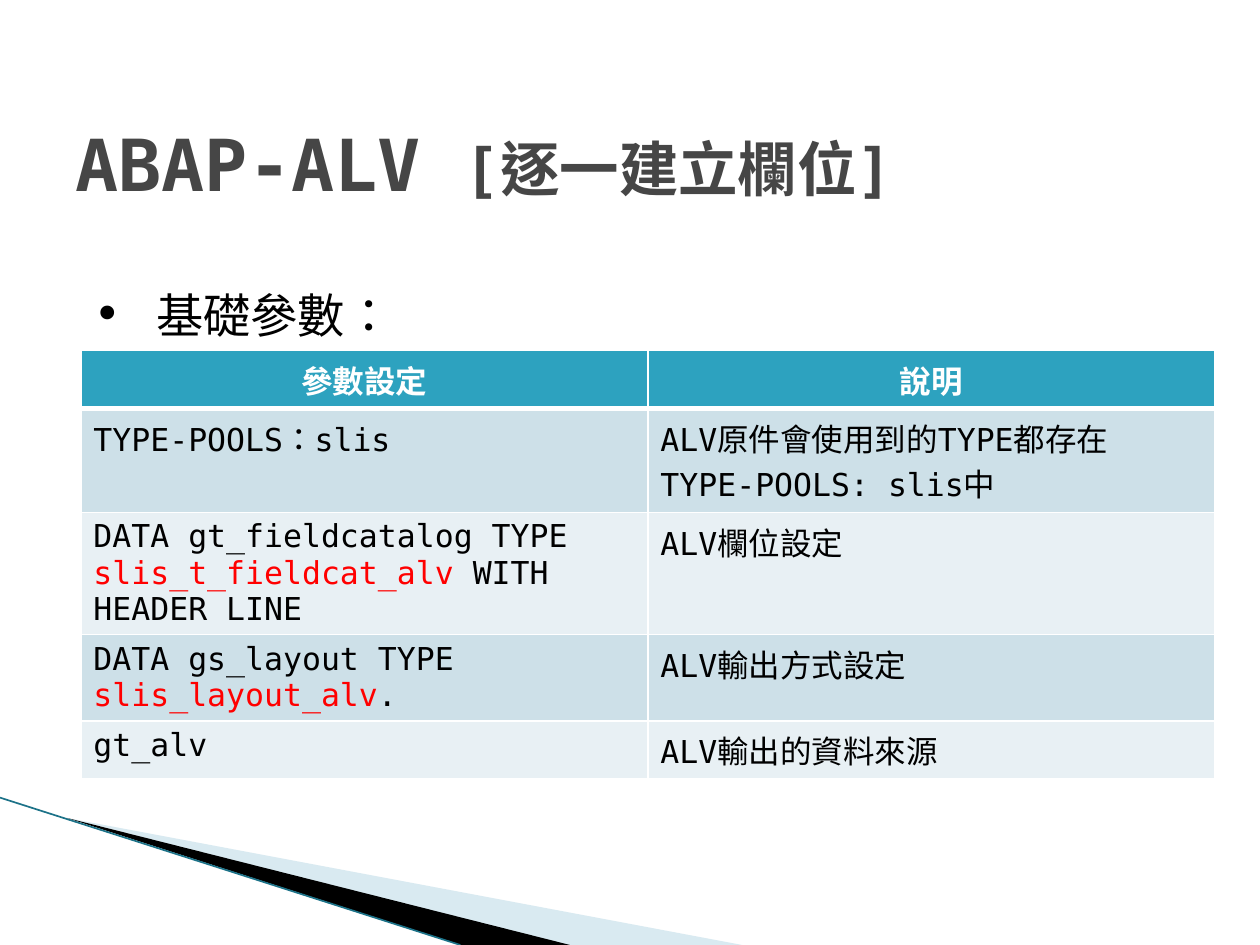
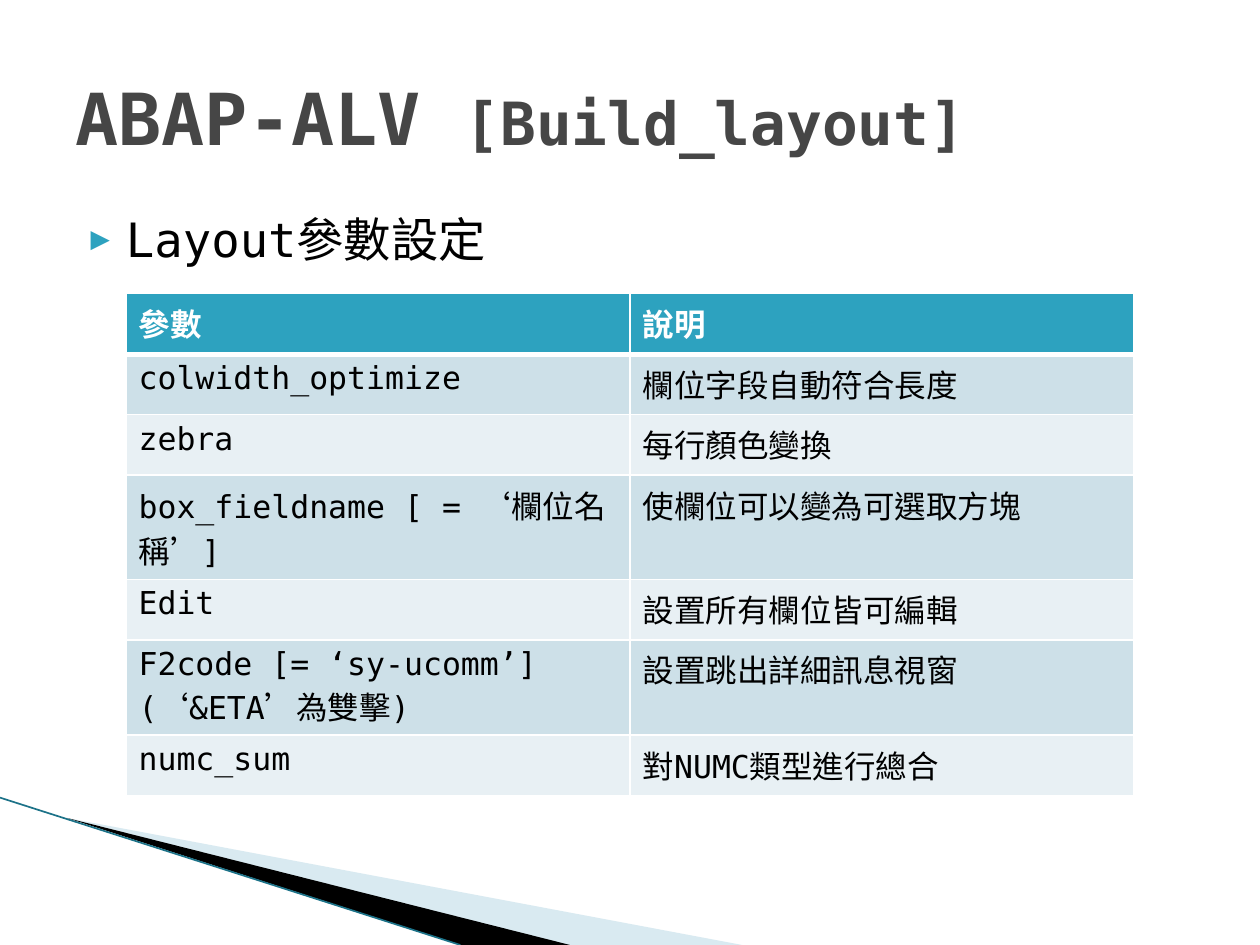
import pptx
import pptx.util
import pptx.dml.color
import pptx.enum.shapes
import pptx.enum.text
import pptx.oxml.ns
from lxml import etree

Cm = pptx.util.Cm
Pt = pptx.util.Pt
RGBColor = pptx.dml.color.RGBColor
qn = pptx.oxml.ns.qn

FONT = "DejaVu Sans Mono"
LANGUAGE = "zh-TW"
WHITE = RGBColor(0xFF, 0xFF, 0xFF)
BLACK = RGBColor(0x00, 0x00, 0x00)
RED = RGBColor(0xFF, 0x00, 0x00)
TITLE_GREY = RGBColor(0x46, 0x46, 0x46)
TEAL = RGBColor(0x2D, 0xA2, 0xBF)
DARK_TEAL = RGBColor(0x1C, 0x72, 0x88)
PALE_BLUE = RGBColor(0xA0, 0xCB, 0xDC)
BANDS = (RGBColor(0xCD, 0xE0, 0xE8), RGBColor(0xE8, 0xF0, 0xF4))


class Deck:
    """Holds the presentation, its style and the current page."""

    def __init__(self):
        """Start an empty deck of 4:3 pages."""
        self.deck = pptx.Presentation()
        self.deck.slide_width, self.deck.slide_height = Cm(25.4), Cm(19.05)
        self.page = None

    def add_page(self):
        """Open a blank page with the swoosh in its lower left corner."""
        self.page = self.deck.slides.add_slide(self.deck.slide_layouts[6])
        self.wedge([(1.4, 16.5), (14.96, 19.05), (11.4, 19.05)], PALE_BLUE, 40)
        self.wedge([(1.35, 16.49), (11.49, 19.05), (9.29, 19.05)], BLACK)
        self.line((0, 16.08), (9.28, 19.05), DARK_TEAL, 0.95)

    def wedge(self, points, color, opacity=100):
        """Draw a filled outline through points given in centimetres."""
        corners = [(Cm(x), Cm(y)) for x, y in points]
        builder = self.page.shapes.build_freeform(*corners[0])
        builder.add_line_segments(corners[1:], close=True)
        shape = builder.convert_to_shape()
        shape.shadow.inherit = False
        shape.fill.solid()
        shape.fill.fore_color.rgb = color
        shape.line.fill.background()
        if opacity < 100:
            fill = shape._element.spPr.find(qn("a:solidFill"))
            etree.SubElement(fill[0], qn("a:alpha"), val=str(opacity * 1000))

    def line(self, start, end, color, width):
        """Draw a straight line without a shadow."""
        line = self.page.shapes.add_connector(
            pptx.enum.shapes.MSO_CONNECTOR.STRAIGHT,
            *(Cm(value) for value in start + end))
        line.line.color.rgb = color
        line.line.width = Pt(width)
        etree.SubElement(line._element.spPr, qn("a:effectLst"))

    def text_frame(self, left, top, width, height):
        """Add a wrapping text box and return its frame."""
        box = self.page.shapes.add_textbox(
            Cm(left), Cm(top), Cm(width), Cm(height))
        box.text_frame.word_wrap = True
        return box.text_frame

    def style(self, para, size, color, bold=False):
        """Set the font and language of a whole paragraph."""
        para.font.name = FONT
        para.font.size = Pt(size)
        para.font.bold = bold
        para.font.color.rgb = color
        para._p.pPr.find(qn("a:defRPr")).set("lang", LANGUAGE)

    def title(self, top, topic):
        """Write the page title with its smaller topic."""
        frame = self.text_frame(1.27, top, 22.86, 3.18)
        frame.vertical_anchor = pptx.enum.text.MSO_ANCHOR.MIDDLE
        para = frame.paragraphs[0]
        self.style(para, 41, TITLE_GREY, bold=True)
        para.add_run().text = "ABAP-ALV "
        span = para.add_run()
        span.text = topic
        span.font.size = Pt(34)

    def bullet(self, place, text, mark, indent, hanging,
               mark_color=BLACK, mark_size=100, space_before=0):
        """Write one bulleted line; indents are in centimetres."""
        para = self.text_frame(*place).paragraphs[0]
        para.text = text
        self.style(para, 27, BLACK)
        para.space_before = Pt(space_before)
        props = para._p.get_or_add_pPr()
        props.set("marL", str(Cm(indent)))
        props.set("indent", str(-Cm(hanging)))
        color = etree.Element(qn("a:buClr"))
        etree.SubElement(color, qn("a:srgbClr"), val=str(mark_color))
        size = etree.Element(qn("a:buSzPct"), val=str(mark_size * 1000))
        font = etree.Element(qn("a:buFont"), typeface=FONT)
        char = etree.Element(qn("a:buChar"), char=mark)
        font_props = props.find(qn("a:defRPr"))
        for element in (color, size, font, char):
            font_props.addprevious(element)

    def borders(self, cell, bottom):
        """Give a cell white borders, the lower one of its own width."""
        props = cell._tc.get_or_add_tcPr()
        widths = {"a:lnL": 1, "a:lnR": 1, "a:lnT": 1, "a:lnB": bottom}
        for index, (tag, width) in enumerate(widths.items()):
            edge = etree.Element(qn(tag), w=str(Pt(width)))
            fill = etree.SubElement(edge, qn("a:solidFill"))
            etree.SubElement(fill, qn("a:srgbClr"), val=str(WHITE))
            props.insert(index, edge)

    def cell(self, cell, text, fill, header, align):
        """Fill a cell; text between bars is red, a newline starts a paragraph."""
        cell.fill.solid()
        cell.fill.fore_color.rgb = fill
        self.borders(cell, 3 if header else 1)
        for index, content in enumerate(text.split("\n")):
            frame = cell.text_frame
            para = frame.add_paragraph() if index else frame.paragraphs[0]
            self.style(para, 18, WHITE if header else BLACK, bold=header)
            para.alignment = align
            for number, piece in enumerate(content.split("|")):
                span = para.add_run()
                span.text = piece
                if number % 2:
                    span.font.color.rgb = RED

    def table(self, left, top, width, heights, rows, header_align=None):
        """Add a banded table of equal columns with a header row."""
        count = len(rows[0])
        table = self.page.shapes.add_table(
            len(rows), count, Cm(left), Cm(top),
            Cm(width), Cm(sum(heights))).table
        table.horz_banding = False
        for column in table.columns:
            column.width = Cm(width / count)
        for index, (height, texts) in enumerate(zip(heights, rows)):
            table.rows[index].height = Cm(height)
            header = index == 0
            fill = TEAL if header else BANDS[(index - 1) % 2]
            align = header_align if header else None
            for column, text in enumerate(texts):
                self.cell(table.cell(index, column), text, fill, header, align)


def fields_page(deck):
    """Build the page on the basic parameters."""
    deck.add_page()
    deck.table(1.63, 7.06, 22.86, [1.14, 2.08, 2.46, 1.74, 1.14], [
        ("參數設定", "說明"),
        ("TYPE-POOLS：slis",
         "ALV原件會使用到的TYPE都存在TYPE-POOLS: slis中"),
        ("DATA gt_fieldcatalog TYPE |slis_t_fieldcat_alv| WITH HEADER LINE",
         "ALV欄位設定"),
        ("DATA gs_layout TYPE |slis_layout_alv|.", "ALV輸出方式設定"),
        ("gt_alv", "ALV輸出的資料來源"),
    ], header_align=pptx.enum.text.PP_ALIGN.CENTER)
    deck.title(1.7, "[逐一建立欄位]")
    deck.bullet((1.63, 5.64, 22.86, 1.42), "基礎參數：", "•", 1.27, 1.27)


def layout_page(deck):
    """Build the page on the layout parameters."""
    deck.add_page()
    deck.bullet((1.27, 4.11, 22.86, 12.57), "Layout參數設定", "▶", 1.02, 0.71,
                mark_color=TEAL, mark_size=68, space_before=4)
    deck.title(0.76, "[Build_layout]")
    single = 1.22
    heights = [single] * 3 + [2.1, single, 1.92, single]
    deck.table(2.54, 5.92, 20.32, heights, [
        ("參數", "說明"),
        ("colwidth_optimize", "欄位字段自動符合長度"),
        ("zebra", "每行顏色變換"),
        ("box_fieldname [ = ‘欄位名稱’]", "使欄位可以變為可選取方塊"),
        ("Edit", "設置所有欄位皆可編輯"),
        ("F2code [= ‘sy-ucomm’]\n(‘&ETA’為雙擊)", "設置跳出詳細訊息視窗"),
        ("numc_sum", "對NUMC類型進行總合"),
    ])


def main():
    """Build both pages and save the deck."""
    deck = Deck()
    fields_page(deck)
    layout_page(deck)
    deck.deck.save("out.pptx")


main()
